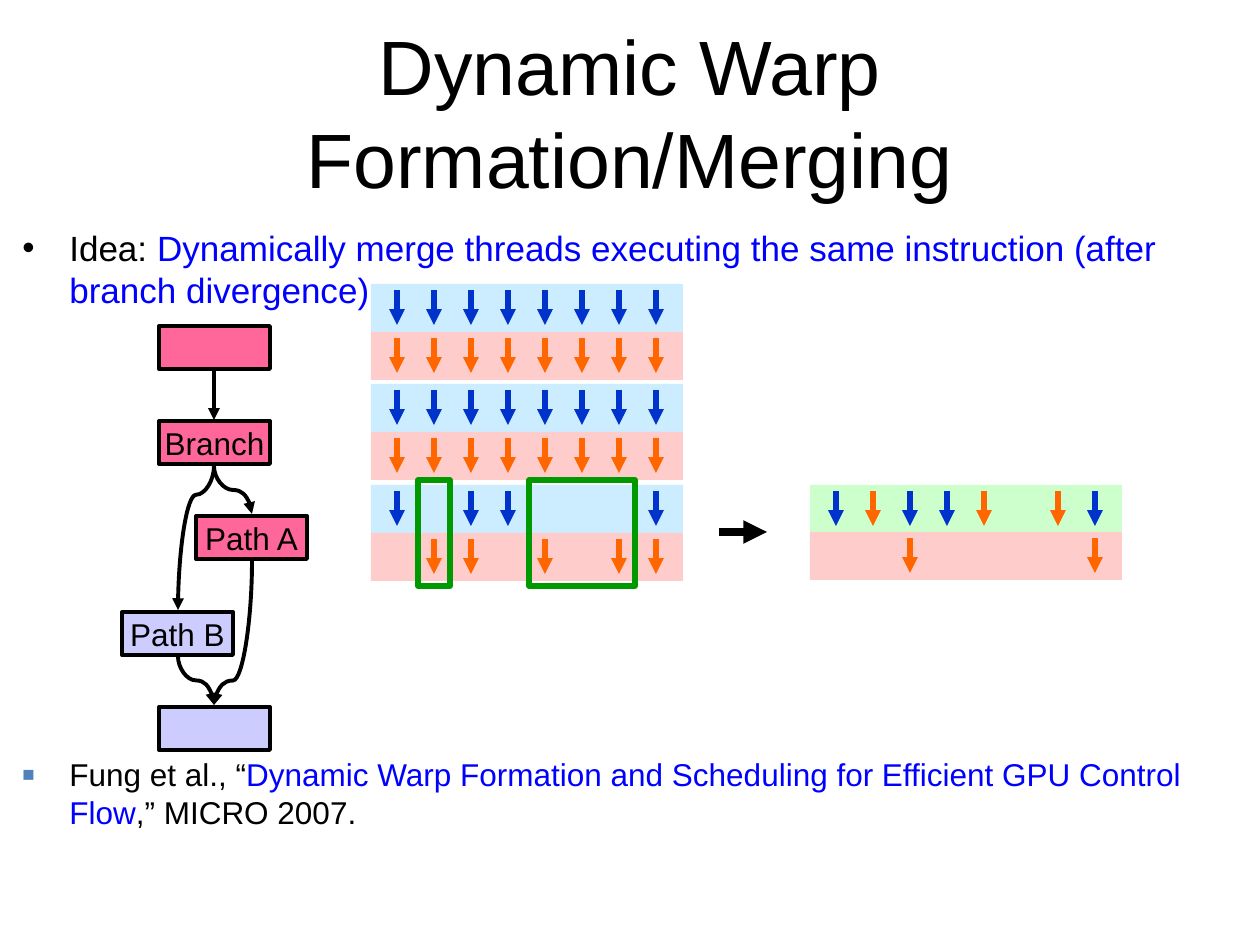
import pptx
import pptx.dml.color
import pptx.enum.shapes
import pptx.enum.text
import pptx.oxml
import pptx.oxml.ns
import pptx.util

RGB = pptx.dml.color.RGBColor
BLACK = RGB(0x00, 0x00, 0x00)
LINK_BLUE = RGB(0x00, 0x00, 0xFF)
BULLET_BLUE = RGB(0x4F, 0x81, 0xBD)
THREAD_BLUE = RGB(0x00, 0x33, 0xCC)
THREAD_ORANGE = RGB(0xFF, 0x66, 0x00)
LANE_BLUE = RGB(0xCC, 0xEC, 0xFF)
LANE_PINK = RGB(0xFF, 0xCC, 0xCC)
LANE_GREEN = RGB(0xCC, 0xFF, 0xCC)
BLOCK_PINK = RGB(0xFF, 0x66, 0x99)
BLOCK_LILAC = RGB(0xCC, 0xCC, 0xFF)
MARK_GREEN = RGB(0x00, 0x99, 0x00)

ALIGN = pptx.enum.text.PP_ALIGN
ANCHOR = pptx.enum.text.MSO_ANCHOR
CONNECTOR = pptx.enum.shapes.MSO_CONNECTOR
THREADS = {"B": THREAD_BLUE, "O": THREAD_ORANGE}


def px(n):
    return pptx.util.Emu(round(n * 914400 / 126))


def add_xml(parent, tag, **attrs):
    el = pptx.oxml.parse_xml(f"<{tag} {pptx.oxml.ns.nsdecls('a')}/>")
    for key, value in attrs.items():
        el.set(key, str(value))
    parent.append(el)
    return el


class Painter:
    font = "Arial"
    lane_w, lane_h = 312, 48
    thread_pitch, thread_inset = 37, 26
    block_w, block_h = 111, 43

    def __init__(self, prs):
        self.s = prs.slides.add_slide(prs.slide_layouts[6])

    def add_runs(self, p, runs, size):
        for text, color in runs:
            r = p.add_run()
            r.text = text
            style = {"name": self.font, "size": pptx.util.Pt(size)}
            for key, value in style.items():
                setattr(r.font, key, value)
            r.font.color.rgb = color

    def text(self, x, y, w, h, runs, size, align=ALIGN.LEFT,
             anchor=ANCHOR.TOP, bullet=None):
        """bullet is (character, colour, percent of the text size)."""
        sp = self.s.shapes.add_textbox(px(x), px(y), px(w), px(h))
        tf = sp.text_frame
        for key, value in {"word_wrap": True, "vertical_anchor": anchor}.items():
            setattr(tf, key, value)
        p = tf.paragraphs[0]
        p.alignment = align
        if bullet:
            char, color, percent = bullet
            pPr = p._p.get_or_add_pPr()
            pPr.set("marL", str(px(47)))
            pPr.set("indent", str(-px(47)))
            add_xml(add_xml(pPr, "a:buClr"), "a:srgbClr", val=color)
            add_xml(pPr, "a:buSzPct", val=percent * 1000)
            add_xml(pPr, "a:buFont", typeface=self.font)
            add_xml(pPr, "a:buChar", char=char)
        self.add_runs(p, runs, size)

    def rect(self, x, y, w, h, fill=None, line=None, weight=0):
        sp = self.s.shapes.add_shape(
            pptx.enum.shapes.MSO_SHAPE.RECTANGLE, px(x), px(y), px(w), px(h))
        sp.shadow.inherit = False
        for part, color in ((sp.fill, fill), (sp.line.fill, line)):
            if color is None:
                part.background()
            else:
                part.solid()
                part.fore_color.rgb = color
        if line is not None:
            sp.line.width = pptx.util.Pt(weight)
        return sp

    def block(self, x, y, fill, label=""):
        sp = self.rect(x, y, self.block_w, self.block_h, fill, BLACK, 2.25)
        if label:
            tf = sp.text_frame
            style = {"word_wrap": False, "vertical_anchor": ANCHOR.MIDDLE}
            style.update(dict.fromkeys(
                ("margin_left", "margin_right", "margin_top", "margin_bottom"), 0))
            for key, value in style.items():
                setattr(tf, key, value)
            p = tf.paragraphs[0]
            p.alignment = ALIGN.CENTER
            self.add_runs(p, [(label, BLACK)], 18)

    def arrow(self, x1, y1, x2, y2, color, weight, kind=CONNECTOR.STRAIGHT):
        c = self.s.shapes.add_connector(kind, px(x1), px(y1), px(x2), px(y2))
        c.line.color.rgb = color
        c.line.width = pptx.util.Pt(weight)
        spPr = c._element.spPr
        add_xml(spPr.find(pptx.oxml.ns.qn("a:ln")), "a:tailEnd", type="triangle")
        add_xml(spPr, "a:effectLst")
        return c

    def curve(self, x1, y1, x2, y2, bend):
        """Curved arrow that leaves and arrives vertically; bend is 0 to 1."""
        mid_x, mid_y = (x1 + x2) / 2, (y1 + y2) / 2
        half_w, half_h = (y2 - y1) / 2, abs(x2 - x1) / 2
        turn = 90
        if x2 > x1:
            half_w, turn = -half_w, 270
        c = self.arrow(mid_x - half_w, mid_y - half_h, mid_x + half_w,
                       mid_y + half_h, BLACK, 2.25, CONNECTOR.CURVE)
        spPr = c._element.spPr
        spPr.find(pptx.oxml.ns.qn("a:xfrm")).set("rot", str(turn * 60000))
        guides = spPr.find(".//" + pptx.oxml.ns.qn("a:avLst"))
        add_xml(guides, "a:gd", name="adj1", fmla=f"val {round(bend * 100000)}")

    def lane(self, x, y, fill, threads):
        """threads has one letter per slot: B blue, O orange, dot empty."""
        self.rect(x, y, self.lane_w, self.lane_h, fill)
        for i, kind in enumerate(threads):
            if kind in THREADS:
                tx = x + self.thread_inset + i * self.thread_pitch
                self.arrow(tx, y + 6, tx, y + 41, THREADS[kind], 3)


def main():
    prs = pptx.Presentation()
    prs.slide_width, prs.slide_height = px(1260), px(945)
    d = Painter(prs)

    d.text(63, 32, 1134, 158, [("Dynamic Warp Formation/Merging", BLACK)], 44,
           ALIGN.CENTER, ANCHOR.MIDDLE)
    d.text(10, 220, 1187, 95, [
        ("Idea: ", BLACK),
        ("Dynamically merge threads executing the same instruction "
         "(after branch divergence)", LINK_BLUE),
    ], 20, bullet=("•", BLACK, 100))
    d.text(10, 749, 1187, 90, [
        ("Fung et al., “", BLACK),
        ("Dynamic Warp Formation and Scheduling for Efficient GPU Control Flow",
         LINK_BLUE),
        (",” MICRO 2007.", BLACK),
    ], 18, bullet=("■", BULLET_BLUE, 65))

    warps = [("BBBBBBBB", "OOOOOOOO"), ("BBBBBBBB", "OOOOOOOO"),
             ("B.BB...B", ".OO.O.OO")]
    for i, (upper, lower) in enumerate(warps):
        y = 284 + round(i * 100.5)
        d.lane(371, y, LANE_BLUE, upper)
        d.lane(371, y + 48, LANE_PINK, lower)
    d.lane(810, 485, LANE_GREEN, "BOBBO.OB")
    d.lane(810, 532, LANE_PINK, "..O....O")

    d.arrow(214, 370, 214, 420, BLACK, 2.25)
    for curve in [(214, 466, 178, 610, 0.2), (214, 466, 252, 514, 0.5),
                  (252, 561, 214, 705, 0.83), (178, 656, 214, 705, 0.5)]:
        d.curve(*curve)
    blocks = [(159, BLOCK_PINK, ""), (159, BLOCK_PINK, "Branch"),
              (196, BLOCK_PINK, "Path A"), (122, BLOCK_LILAC, "Path B"),
              (159, BLOCK_LILAC, "")]
    for i, (x, fill, label) in enumerate(blocks):
        d.block(x, 326 + round(i * 95.25), fill, label)

    for x, w in ((529, 106), (418, 32)):
        d.rect(x, 480, w, 106, line=MARK_GREEN, weight=3)
    d.arrow(719, 532, 767, 532, BLACK, 4.5)

    prs.save("out.pptx")


if __name__ == "__main__":
    main()
